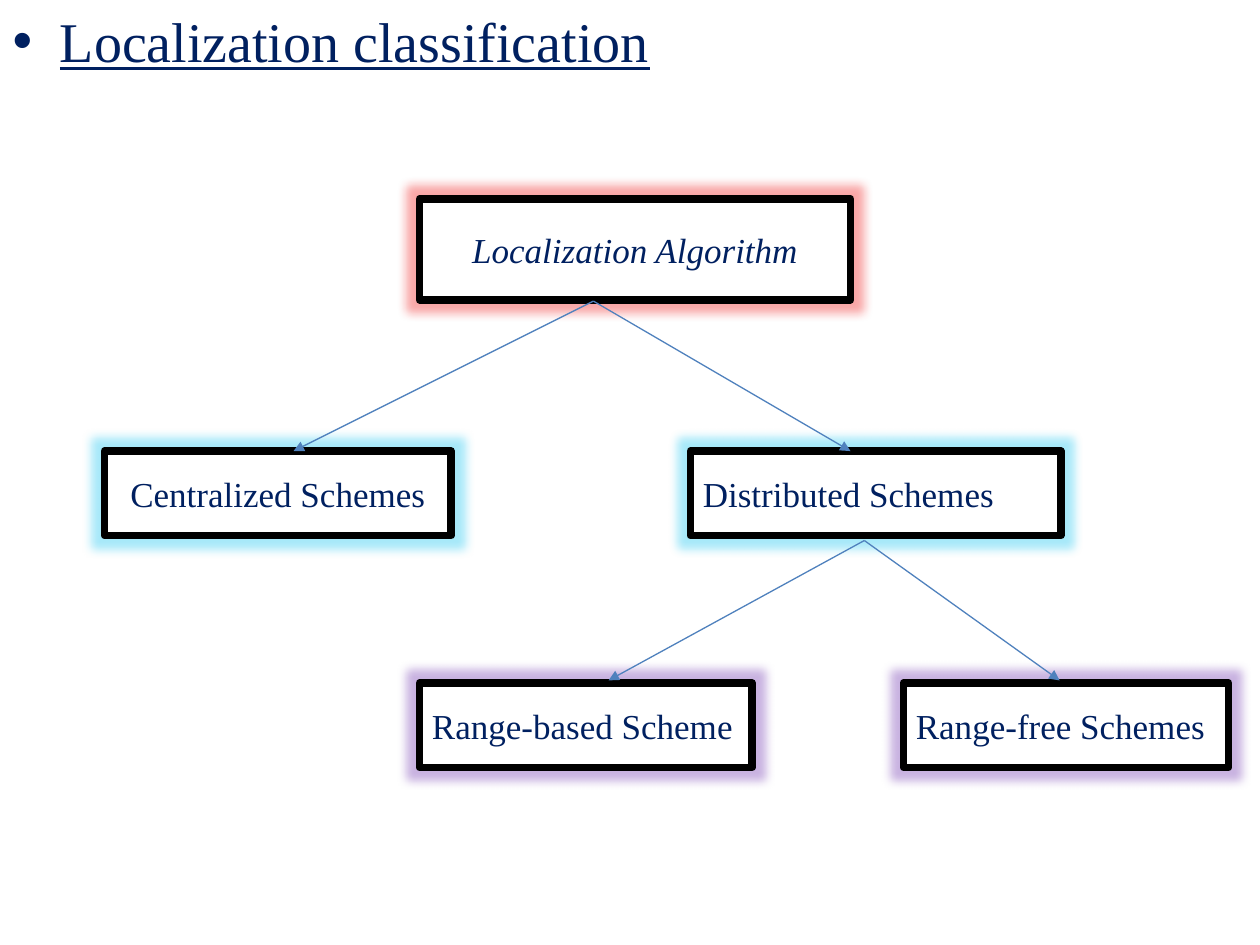
from lxml import etree
from pptx import Presentation
from pptx.dml.color import RGBColor
from pptx.enum.shapes import MSO_CONNECTOR, MSO_SHAPE
from pptx.enum.text import MSO_ANCHOR, PP_ALIGN
from pptx.oxml.ns import qn
from pptx.util import Inches, Pt

PROCESS = MSO_SHAPE.FLOWCHART_PROCESS
STRAIGHT = MSO_CONNECTOR.STRAIGHT
MIDDLE = MSO_ANCHOR.MIDDLE
LEFT, CENTER = PP_ALIGN.LEFT, PP_ALIGN.CENTER

FONT = "Times New Roman"
COLORS = {
    "text": "002060",
    "fill": "FFFFFF",
    "border": "000000",
    "arrow": "4F81BD",
    "root": "F02525",
    "scheme": "25C8F2",
    "range": "7841B4",
}
NODES = [
    ("Localization Algorithm", (3.33, 1.58, 3.42, 0.8), "root", CENTER),
    ("Centralized Schemes", (0.83, 3.58, 2.75, 0.67), "scheme", CENTER),
    ("Distributed Schemes", (5.48, 3.58, 2.94, 0.67), "scheme", LEFT),
    ("Range-free Schemes", (7.17, 5.42, 2.58, 0.67), "range", LEFT),
    ("Range-based Scheme", (3.33, 5.42, 2.64, 0.67), "range", LEFT),
]
BRANCHES = [
    ((4.71, 2.39), [(2.33, 3.58), (6.75, 3.58)]),
    ((6.86, 4.29), [(4.83, 5.4), (8.41, 5.4)]),
]


def color(name):
    """Return the named colour."""
    return RGBColor.from_string(COLORS[name])


def format_text(paragraph, size):
    """Format every run of a paragraph and return its fonts."""
    fonts = [run.font for run in paragraph.runs]
    for font in fonts:
        font.name = FONT
        font.size = Pt(size)
        font.color.rgb = color("text")
    return fonts


def add_heading(slide, box, text):
    """Place the underlined bullet heading in the body placeholder."""
    title = slide.shapes.title.element
    title.getparent().remove(title)
    body = slide.placeholders[1]
    body.left, body.top, body.width, body.height = map(Inches, box)
    body.text_frame.text = text
    for font in format_text(body.text_frame.paragraphs[0], 32):
        font.underline = True


def add_glow(shape, name):
    """Surround a shape with a soft glow in place of its shadow."""
    shape.shadow.inherit = False
    effects = shape.element.spPr.find(qn("a:effectLst"))
    glow = etree.SubElement(effects, qn("a:glow"), rad=str(Pt(11)))
    tint = etree.SubElement(glow, qn("a:srgbClr"), val=COLORS[name])
    etree.SubElement(tint, qn("a:alpha"), val="40000")


def add_node(slide, box, text, glow, alignment):
    """Draw one glowing box of the classification tree."""
    node = slide.shapes.add_shape(PROCESS, *map(Inches, box))
    node.fill.solid()
    node.fill.fore_color.rgb = color("fill")
    node.line.color.rgb = color("border")
    node.line.width = Pt(4.33)
    add_glow(node, glow)
    frame = node.text_frame
    frame.text = text
    frame.vertical_anchor = MIDDLE
    paragraph = frame.paragraphs[0]
    paragraph.alignment = alignment
    for font in format_text(paragraph, 20):
        font.italic = glow == "root"


def add_arrow(slide, start, end):
    """Draw a thin arrow from a parent to a child."""
    arrow = slide.shapes.add_connector(STRAIGHT, *map(Inches, start + end))
    arrow.line.color.rgb = color("arrow")
    arrow.line.width = Pt(0.75)
    properties = arrow.element.spPr
    line = properties.find(qn("a:ln"))
    etree.SubElement(line, qn("a:tailEnd"), type="triangle")
    etree.SubElement(properties, qn("a:effectLst"))


def add_tree(slide, box):
    """Draw the classification tree within the given box."""
    left, top = box[:2]
    for text, (x, y, width, height), glow, alignment in NODES:
        add_node(slide, (left + x, top + y, width, height), text, glow, alignment)
    for (x, y), ends in BRANCHES:
        for end_x, end_y in ends:
            add_arrow(slide, (left + x, top + y), (left + end_x, top + end_y))


def main():
    """Build and save the presentation."""
    presentation = Presentation()
    presentation.slide_width = Inches(10)
    presentation.slide_height = Inches(7.5)
    slide = presentation.slides.add_slide(presentation.slide_layouts[1])
    page = (0, 0, 10, 7.5)
    add_heading(slide, page, "Localization classification")
    add_tree(slide, page)
    presentation.save("out.pptx")


if __name__ == "__main__":
    main()
